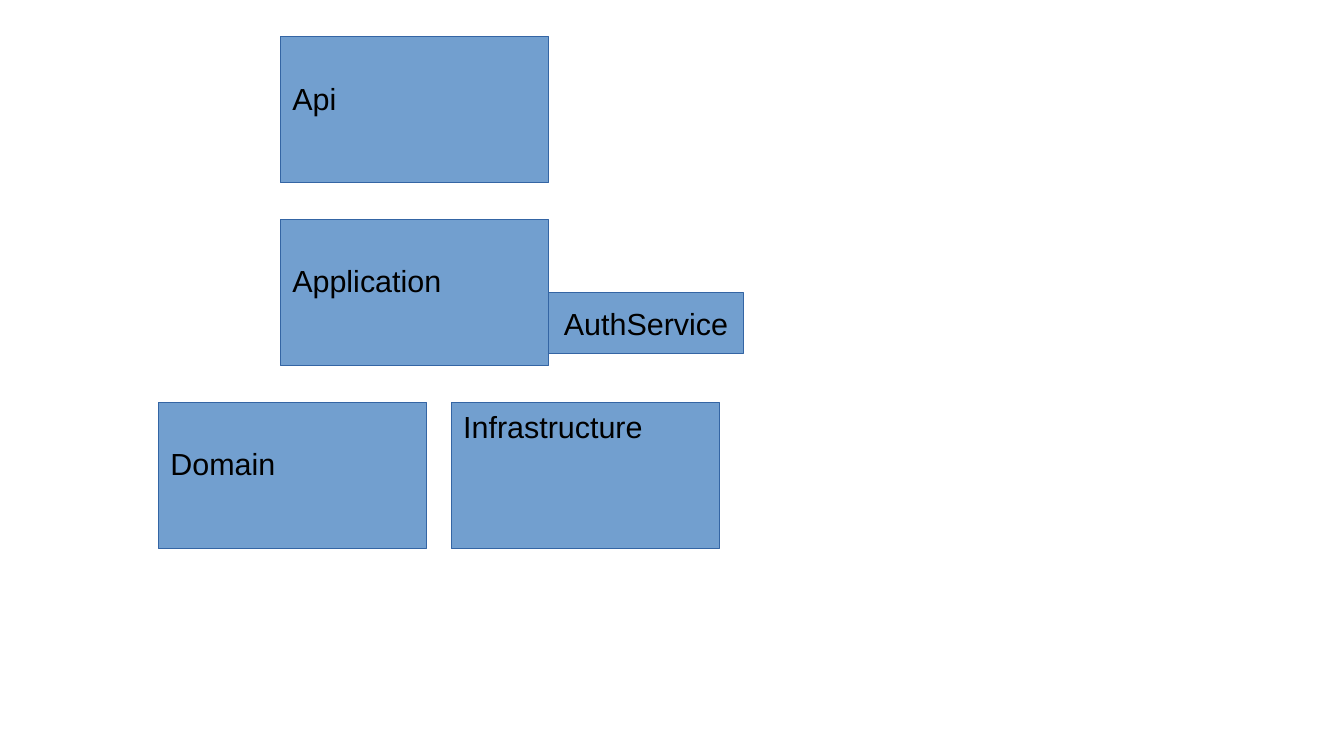
from pptx import Presentation
from pptx.dml.color import RGBColor
from pptx.enum.shapes import MSO_SHAPE
from pptx.enum.text import MSO_ANCHOR, PP_ALIGN
from pptx.util import Cm, Pt

RECTANGLE = MSO_SHAPE.RECTANGLE
TOP, MIDDLE = MSO_ANCHOR.TOP, MSO_ANCHOR.MIDDLE
LEFT, CENTER = PP_ALIGN.LEFT, PP_ALIGN.CENTER

FILL = RGBColor(0x72, 0x9F, 0xCF)
OUTLINE = RGBColor(0x34, 0x65, 0xA4)
BLACK = RGBColor(0, 0, 0)

LAYER_W, LAYER_H = 5.59, 3.05
FIRST_TOP, ROW_STEP = 0.76, 3.81
SIDE_INSET, EDGE_INSET, LOWERED_INSET = 0.25, 0.13, 0.9

LAYERS = [
    ("Api", 5.84, 0, LOWERED_INSET),
    ("Application", 5.84, 1, LOWERED_INSET),
    ("Domain", 3.3, 2, LOWERED_INSET),
    ("Infrastructure", 9.4, 2, EDGE_INSET),
]


def add_box(s, text, left, top, width, height, inset=EDGE_INSET, anchor=TOP, align=LEFT):
    """Add a labelled rectangle, with lengths in centimetres."""
    sp = s.shapes.add_shape(RECTANGLE, Cm(left), Cm(top), Cm(width), Cm(height))
    sp.shadow.inherit = False
    sp.fill.solid()
    sp.fill.fore_color.rgb = FILL
    sp.line.color.rgb = OUTLINE
    sp.line.width = Pt(0)
    tf = sp.text_frame
    tf.word_wrap = True
    tf.vertical_anchor = anchor
    tf.margin_left = tf.margin_right = Cm(SIDE_INSET)
    tf.margin_top, tf.margin_bottom = Cm(inset), Cm(EDGE_INSET)
    p = tf.paragraphs[0]
    p.alignment = align
    r = p.add_run()
    r.text = text
    r.font.name = "Arial"
    r.font.size = Pt(18)
    r.font.color.rgb = BLACK


def main():
    """Build the layer diagram and save it."""
    prs = Presentation()
    prs.slide_width, prs.slide_height = Cm(28), Cm(15.75)
    s = prs.slides.add_slide(prs.slide_layouts[6])
    for text, left, row, inset in LAYERS:
        add_box(s, text, left, FIRST_TOP + row * ROW_STEP, LAYER_W, LAYER_H, inset)
    add_box(s, "AuthService", 11.43, 6.1, 4.06, 1.27, anchor=MIDDLE, align=CENTER)
    prs.save("out.pptx")


if __name__ == "__main__":
    main()
